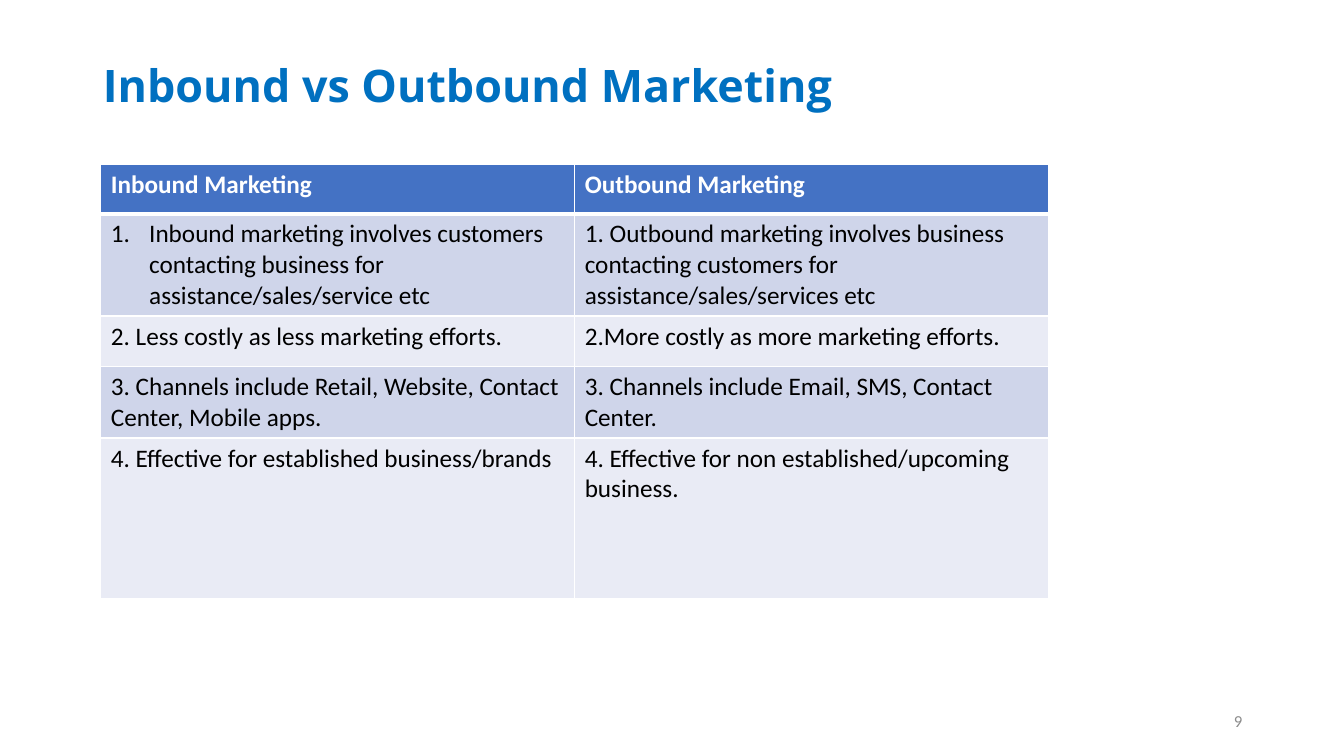
from lxml import etree
from pptx import Presentation
from pptx.dml.color import RGBColor
from pptx.enum.text import MSO_ANCHOR, MSO_AUTO_SIZE, PP_ALIGN
from pptx.oxml.ns import qn
from pptx.util import Pt

LEFT, RIGHT = PP_ALIGN.LEFT, PP_ALIGN.RIGHT
MIDDLE = MSO_ANCHOR.MIDDLE
NO_AUTOFIT = MSO_AUTO_SIZE.NONE

EMU_PER_PX = 9144  # 100 px to the inch
SLIDE_SIZE = (1333, 750)
TITLE_BOX = (92, 15, 1150, 145)
TABLE_BOX = (100, 163, 940, 415)
NUMBER_BOX = (942, 695, 300, 40)
ROW_HEIGHTS = (49, 89, 50, 68, 159)
LIST_INDENT = 38

COLORS = {
    "title": "0070C0",
    "header": "4472C4",
    "band_dark": "CFD5EA",
    "band_light": "E9EBF5",
    "white": "FFFFFF",
    "text": "000000",
    "number": "8C8C8C",
}

COMPARISON = (
    ("Inbound Marketing", "Outbound Marketing"),
    ("Inbound marketing involves customers contacting business for assistance/sales/service etc",
     "1. Outbound marketing involves business contacting customers for assistance/sales/services etc"),
    ("2. Less costly as less marketing efforts.",
     "2.More costly as more marketing efforts."),
    ("3. Channels include Retail, Website, Contact Center, Mobile apps.",
     "3. Channels include Email, SMS, Contact Center."),
    ("4. Effective for established business/brands",
     "4. Effective for non established/upcoming business."),
)


def px(length):
    return length * EMU_PER_PX


def color(name):
    return RGBColor.from_string(COLORS[name])


def write(text_frame, text, size, color_name, font_name="Calibri", bold=False):
    text_frame.text = text
    paragraph = text_frame.paragraphs[0]
    font = paragraph.runs[0].font
    font.name, font.size, font.bold = font_name, Pt(size), bold
    font.color.rgb = color(color_name)
    return paragraph


def add_title(slide, box):
    title = slide.shapes.title
    title.left, title.top, title.width, title.height = map(px, box)
    text_frame = title.text_frame
    text_frame.auto_size = NO_AUTOFIT
    text_frame.vertical_anchor = MIDDLE
    paragraph = write(text_frame, "Inbound vs Outbound Marketing", 32,
                      "title", "Open Sans", bold=True)
    paragraph.alignment = LEFT
    paragraph.line_spacing = 0.9


def add_borders(cell, bottom_width):
    """Draw white cell borders; call before the fill, which must follow them."""
    properties = cell._tc.get_or_add_tcPr()
    widths = {"a:lnL": 1, "a:lnR": 1, "a:lnT": 1, "a:lnB": bottom_width}
    for tag, width in widths.items():
        line = etree.SubElement(properties, qn(tag), w=str(Pt(width)))
        fill = etree.SubElement(line, qn("a:solidFill"))
        etree.SubElement(fill, qn("a:srgbClr"), val=COLORS["white"])


def number_paragraph(paragraph):
    properties = paragraph._p.get_or_add_pPr()
    properties.set("marL", str(px(LIST_INDENT)))
    properties.set("indent", str(-px(LIST_INDENT)))
    etree.SubElement(properties, qn("a:buAutoNum"), type="arabicPeriod")


def add_comparison_table(slide, box):
    left, top, width, height = map(px, box)
    table = slide.shapes.add_table(len(COMPARISON), 2, left, top, width, height).table
    for column in table.columns:
        column.width = width // 2
    for row_index, texts in enumerate(COMPARISON):
        table.rows[row_index].height = px(ROW_HEIGHTS[row_index])
        is_header = row_index == 0
        band = "band_dark" if row_index % 2 else "band_light"
        for column_index, text in enumerate(texts):
            cell = table.cell(row_index, column_index)
            add_borders(cell, 3 if is_header else 1)
            cell.fill.solid()
            cell.fill.fore_color.rgb = color("header" if is_header else band)
            write(cell.text_frame, text, 18, "white" if is_header else "text",
                  bold=is_header)
    number_paragraph(table.cell(1, 0).text_frame.paragraphs[0])


def add_slide_number(slide, box):
    text_frame = slide.shapes.add_textbox(*map(px, box)).text_frame
    text_frame.word_wrap = True
    text_frame.vertical_anchor = MIDDLE
    write(text_frame, "9", 12, "number").alignment = RIGHT


def main():
    presentation = Presentation()
    presentation.slide_width, presentation.slide_height = map(px, SLIDE_SIZE)
    slide = presentation.slides.add_slide(presentation.slide_layouts.get_by_name("Title Only"))
    add_title(slide, TITLE_BOX)
    add_comparison_table(slide, TABLE_BOX)
    add_slide_number(slide, NUMBER_BOX)
    presentation.save("out.pptx")


if __name__ == "__main__":
    main()
